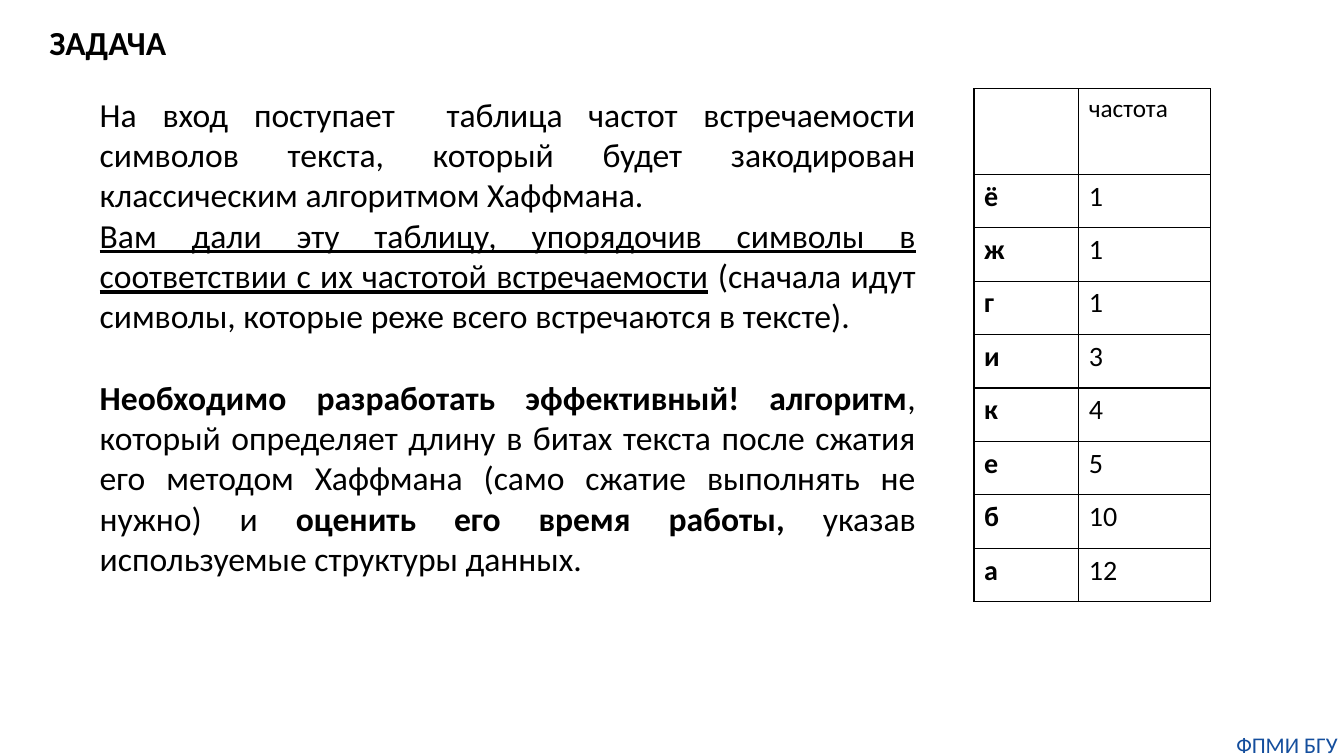
from lxml.etree import SubElement
from pptx import Presentation
from pptx.dml.color import RGBColor
from pptx.enum.text import MSO_ANCHOR, PP_ALIGN
from pptx.oxml.ns import qn
from pptx.util import Inches, Pt

BLACK = RGBColor(0, 0, 0)
BLUE = RGBColor(0x14, 0x4E, 0x9D)
FONT = "Calibri"

TASK = [
    [("На вход поступает  таблица частот встречаемости символов текста, "
      "который будет закодирован классическим алгоритмом Хаффмана.", {})],
    [("Вам дали эту таблицу, упорядочив символы в соответствии с их "
      "частотой встречаемости", {"line": True}),
     (" (сначала идут символы, которые реже всего встречаются в тексте).", {})],
    [("Необходимо разработать эффективный! алгоритм", {"bold": True}),
     (", который определяет длину в битах текста после сжатия его методом "
      "Хаффмана (само сжатие выполнять не нужно) и ", {}),
     ("оценить его время работы, ", {"bold": True}),
     ("указав используемые структуры данных.", {})],
]
COUNTS = {"ё": 1, "ж": 1, "г": 1, "и": 3, "к": 4, "е": 5, "б": 10, "а": 12}


def write(para, text, size=24, color=BLACK, bold=False, line=False):
    """Add one formatted run to a paragraph."""
    run = para.add_run()
    run.text = text
    font = run.font
    font.name, font.size = FONT, Pt(size)
    font.bold, font.underline = bold, line
    font.color.rgb = color


def border(cell):
    """Draw a thin black line on every side of a cell."""
    props = cell._tc.get_or_add_tcPr()
    for place, side in enumerate(("lnL", "lnR", "lnT", "lnB")):
        edge = props.makeelement(qn(f"a:{side}"), {"w": str(Pt(1))})
        fill = SubElement(edge, qn("a:solidFill"))
        SubElement(fill, qn("a:srgbClr"), val=str(BLACK))
        props.insert(place, edge)


class Deck:
    def __init__(self):
        self.prs = Presentation()
        self.prs.slide_width = Inches(13.33)
        self.prs.slide_height = Inches(7.5)
        self.slide = self.prs.slides.add_slide(self.prs.slide_layouts[5])

    def title(self, text, left, top, width, height):
        shape = self.slide.shapes.title
        shape.left, shape.top = Inches(left), Inches(top)
        shape.width, shape.height = Inches(width), Inches(height)
        frame = shape.text_frame
        frame.vertical_anchor = MSO_ANCHOR.TOP
        para = frame.paragraphs[0]
        para.alignment = PP_ALIGN.LEFT
        write(para, text, bold=True)

    def text(self, paras, left, top, width, height, align, pad=None, gaps=(), **style):
        box = self.slide.shapes.add_textbox(
            Inches(left), Inches(top), Inches(width), Inches(height))
        frame = box.text_frame
        frame.word_wrap = True
        if pad is not None:
            frame.margin_left = frame.margin_right = Inches(pad)
            frame.margin_top = frame.margin_bottom = Inches(pad)
        for index, runs in enumerate(paras):
            para = frame.paragraphs[0] if index == 0 else frame.add_paragraph()
            para.alignment = align
            if index in gaps:
                para.space_before = Pt(29.3)
            for words, look in runs:
                write(para, words, **{**style, **look})

    def table(self, rows, left, top, widths, heights):
        table = self.slide.shapes.add_table(
            len(rows), len(widths), Inches(left), Inches(top),
            Inches(sum(widths)), Inches(sum(heights))).table
        table.first_row = table.horz_banding = False
        for col, width in zip(table.columns, widths):
            col.width = Inches(width)
        for row, height, values in zip(table.rows, heights, rows):
            row.height = Inches(height)
            for cell, (words, look) in zip(row.cells, values):
                cell.fill.background()
                border(cell)
                if words:
                    write(cell.text_frame.paragraphs[0], words, **look)


def main():
    deck = Deck()

    # Heading and task
    deck.title("ЗАДАЧА", 0.39, 0.17, 8.79, 0.5)
    deck.text(TASK, 0.89, 0.88, 8.29, 5.25, PP_ALIGN.JUSTIFY, gaps=(2,))

    # Frequency table
    rows = [[("", {}), ("частота", {"size": 18})]]
    rows += [[(sign, {"size": 20, "bold": True}), (str(count), {"size": 20})]
             for sign, count in COUNTS.items()]
    deck.table(rows, 9.66, 0.88, [1.04, 1.31], [0.85] + [0.53] * len(COUNTS))

    # Footer
    deck.text([[("ФПМИ БГУ", {})]], 12.2, 7.25, 1.13, 0.27, PP_ALIGN.CENTER,
              pad=0, size=16, color=BLUE)

    deck.prs.save("out.pptx")


if __name__ == "__main__":
    main()
